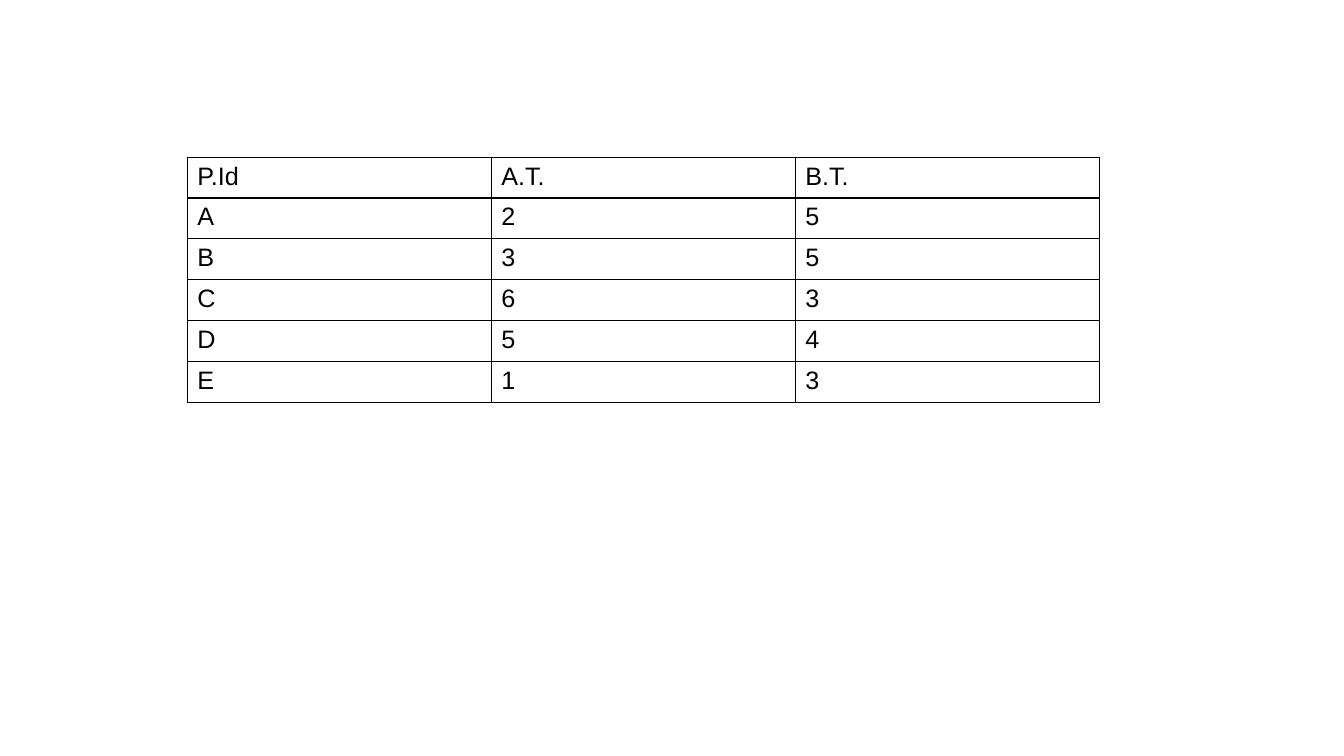
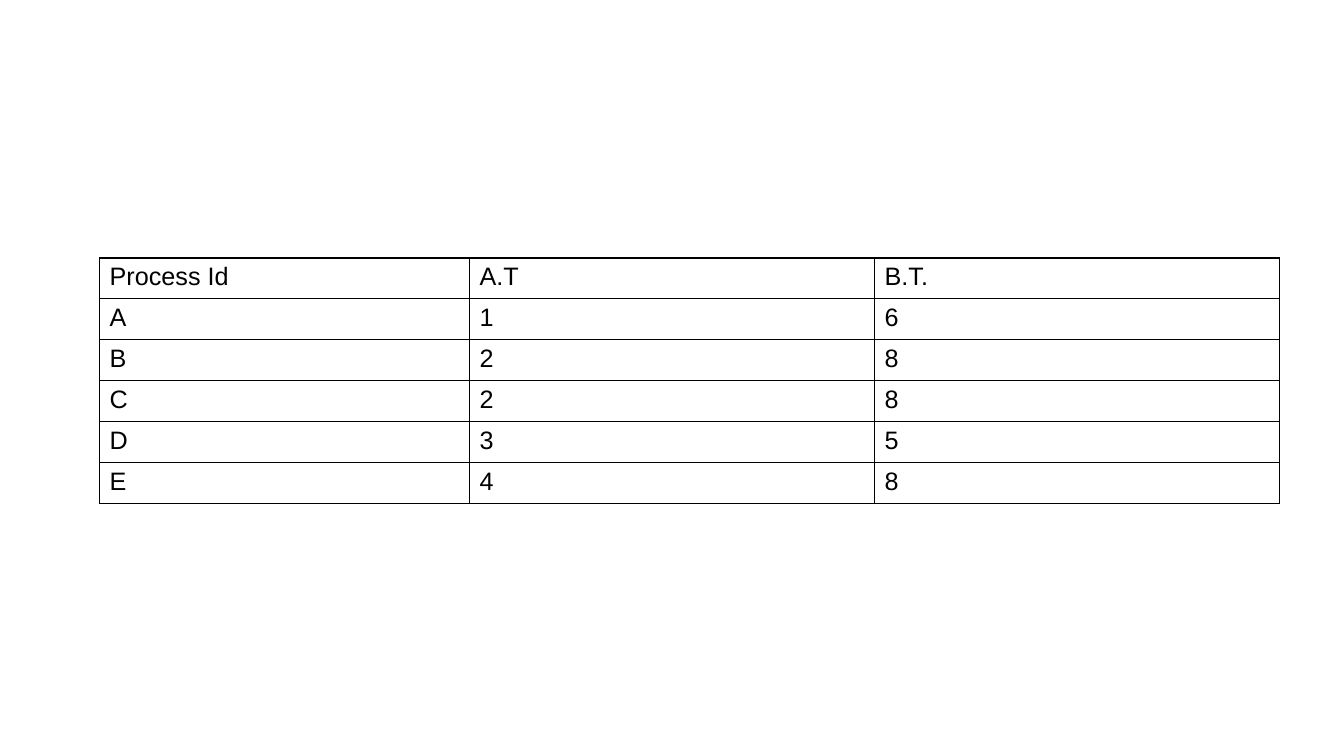
"""Build two slides with tables of process arrival and burst times."""
from lxml.etree import SubElement
from pptx import Presentation
from pptx.dml.color import RGBColor
from pptx.oxml.ns import qn
from pptx.util import Cm, Pt

BLACK = RGBColor(0x00, 0x00, 0x00)
WHITE = RGBColor(0xFF, 0xFF, 0xFF)
FONT = "Arial"
TEXT_SIZE = Pt(18)
BORDER_WIDTH = Pt(1)
ROW_HEIGHT = Cm(1.03)

SCHEDULES = [
    (Cm(4.72), Cm(3.96), [Cm(7.66), Cm(7.66), Cm(7.66)], [
        ("P.Id", "A.T.", "B.T."),
        ("A", "2", "5"),
        ("B", "3", "5"),
        ("C", "6", "3"),
        ("D", "5", "4"),
        ("E", "1", "3"),
    ]),
    (Cm(2.51), Cm(6.5), [Cm(9.32), Cm(10.21), Cm(10.21)], [
        ("Process Id", "A.T", "B.T."),
        ("A", "1", "6"),
        ("B", "2", "8"),
        ("C", "2", "8"),
        ("D", "3", "5"),
        ("E", "4", "8"),
    ]),
]


def add_borders(cell):
    """Draw a solid line on all four sides of a cell."""
    properties = cell._tc.get_or_add_tcPr()
    for side in ("a:lnL", "a:lnR", "a:lnT", "a:lnB"):
        border = SubElement(properties, qn(side), w=str(BORDER_WIDTH))
        SubElement(SubElement(border, qn("a:solidFill")), qn("a:srgbClr"), val=str(BLACK))


presentation = Presentation()
presentation.slide_width = Cm(33.87)
presentation.slide_height = Cm(19.05)
blank_layout = presentation.slide_layouts[6]

for left, top, column_widths, processes in SCHEDULES:
    slide = presentation.slides.add_slide(blank_layout)
    slide.background.fill.solid()
    slide.background.fill.fore_color.rgb = WHITE
    schedule = slide.shapes.add_table(
        len(processes), len(column_widths), left, top,
        sum(column_widths), ROW_HEIGHT * len(processes)).table
    schedule.first_row = False
    schedule.horz_banding = False
    for column, width in zip(schedule.columns, column_widths):
        column.width = width
    for row, values in zip(schedule.rows, processes):
        row.height = ROW_HEIGHT
        for cell, value in zip(row.cells, values):
            add_borders(cell)
            cell.fill.background()
            cell.text_frame.text = value
            font = cell.text_frame.paragraphs[0].runs[0].font
            font.name = FONT
            font.size = TEXT_SIZE
            font.color.rgb = BLACK

presentation.save("out.pptx")
